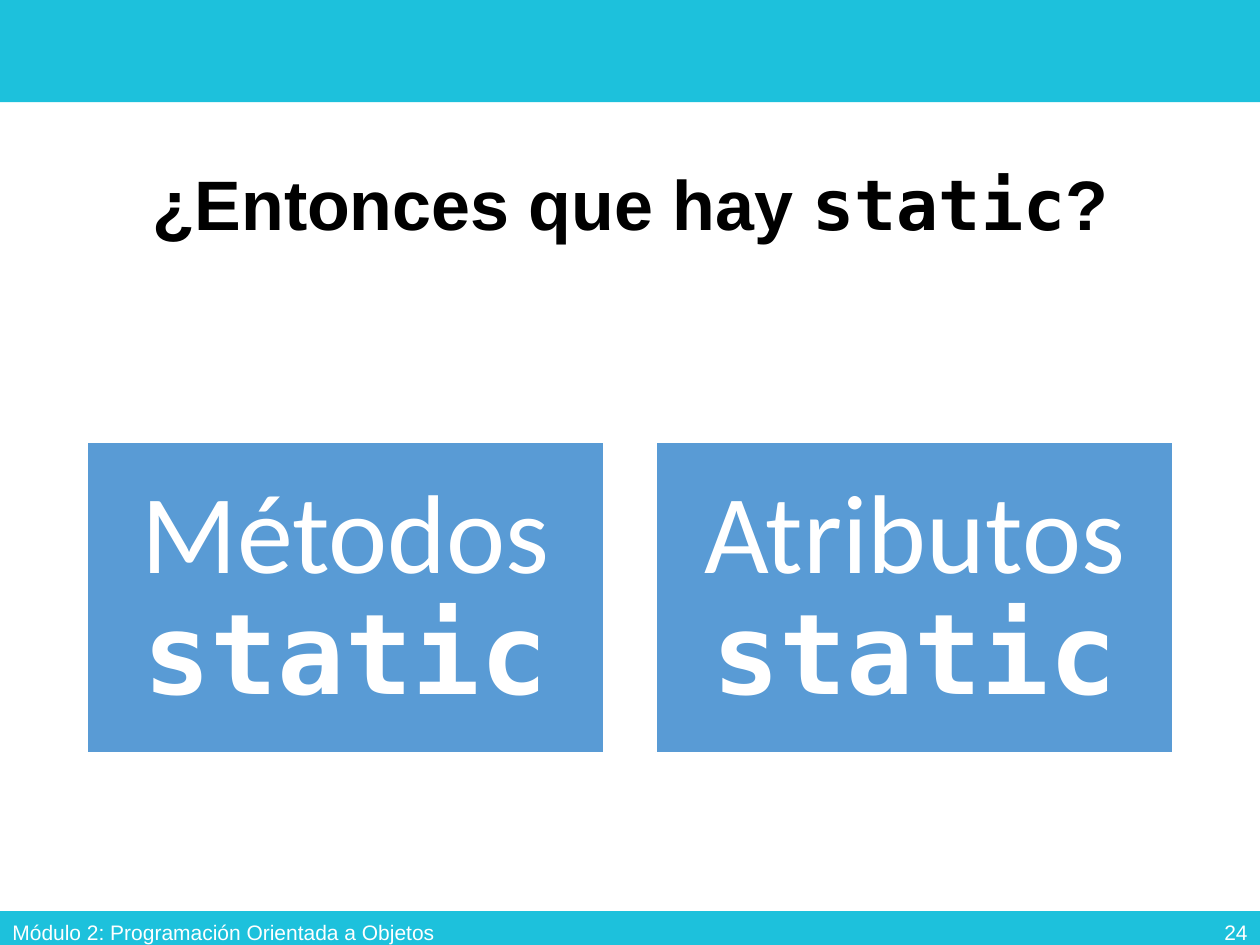
from dataclasses import dataclass

from pptx import Presentation
from pptx.dml.color import RGBColor
from pptx.enum.shapes import MSO_SHAPE
from pptx.enum.text import MSO_ANCHOR, PP_ALIGN
from pptx.util import Pt

CYAN = RGBColor(0x1D, 0xC1, 0xDC)
BLUE = RGBColor(0x59, 0x9B, 0xD5)
WHITE = RGBColor(0xFF, 0xFF, 0xFF)
BLACK = RGBColor(0x00, 0x00, 0x00)
SANS, CARD_FONT, MONO = "Arial", "Calibri", "DejaVu Sans Mono"
SLIDE_W, SLIDE_H = 720, 540
MARGIN = 49.6


@dataclass
class Area:
    left: float
    top: float
    width: float
    height: float

    def lengths(self) -> tuple:
        return Pt(self.left), Pt(self.top), Pt(self.width), Pt(self.height)


@dataclass
class Piece:
    text: str
    font: str
    bold: bool = False


def write(frame, pieces: list[Piece], size: float, color: RGBColor,
          align: PP_ALIGN, spacing: float = 1.0) -> None:
    frame.word_wrap = True
    frame.vertical_anchor = MSO_ANCHOR.MIDDLE
    paragraph = frame.paragraphs[0]
    paragraph.alignment = align
    paragraph.line_spacing = spacing
    for piece in pieces:
        run = paragraph.add_run()
        run.text = piece.text
        run.font.name = piece.font
        run.font.bold = piece.bold
        run.font.size = Pt(size)
        run.font.color.rgb = color


def add_block(slide, area: Area, fill: RGBColor):
    block = slide.shapes.add_shape(MSO_SHAPE.RECTANGLE, *area.lengths())
    block.shadow.inherit = False
    block.fill.solid()
    block.fill.fore_color.rgb = fill
    block.line.fill.background()
    return block


def add_card(slide, area: Area, word: str) -> None:
    card = add_block(slide, area, BLUE)
    card.line.color.rgb = WHITE
    card.line.width = Pt(1)
    frame = card.text_frame
    frame.margin_left = frame.margin_right = Pt(19.2)
    frame.margin_top = frame.margin_bottom = Pt(19.2)
    pieces = [Piece(f"{word} ", CARD_FONT), Piece("static", MONO, True)]
    write(frame, pieces, 64, WHITE, PP_ALIGN.CENTER, 0.9)


def add_footer(slide, area: Area, text: str, align: PP_ALIGN) -> None:
    footer = slide.shapes.add_textbox(*area.lengths())
    write(footer.text_frame, [Piece(text, SANS)], 12, WHITE, align)


def main() -> None:
    deck = Presentation()
    deck.slide_width, deck.slide_height = Pt(SLIDE_W), Pt(SLIDE_H)
    slide = deck.slides.add_slide(deck.slide_layouts[5])

    # Bands along the top and bottom edges
    add_block(slide, Area(0, 0, SLIDE_W, 58.4), CYAN)
    add_block(slide, Area(0, 520.6, SLIDE_W, 22.3), CYAN)

    # Title
    title = slide.shapes.title
    title.left, title.top, title.width, title.height = Area(
        MARGIN, 70.5, SLIDE_W - 2 * MARGIN, 96).lengths()
    question = [Piece("¿Entonces que hay ", SANS, True),
                Piece("static", MONO, True), Piece("?", SANS, True)]
    write(title.text_frame, question, 40, BLACK, PP_ALIGN.CENTER, 0.9)

    # Two cards, spread between the margins
    card_width, gap = 295.7, 29.4
    for column, word in enumerate(["Métodos", "Atributos"]):
        left = MARGIN + column * (card_width + gap)
        add_card(slide, Area(left, 252.8, card_width, 177.2), word)

    # Slide number and module name
    add_footer(slide, Area(558, 518, 162, 28.8), "24", PP_ALIGN.RIGHT)
    add_footer(slide, Area(0, 518, 278, 28.8),
               "Módulo 2: Programación Orientada a Objetos", PP_ALIGN.LEFT)

    deck.save("out.pptx")


if __name__ == "__main__":
    main()
